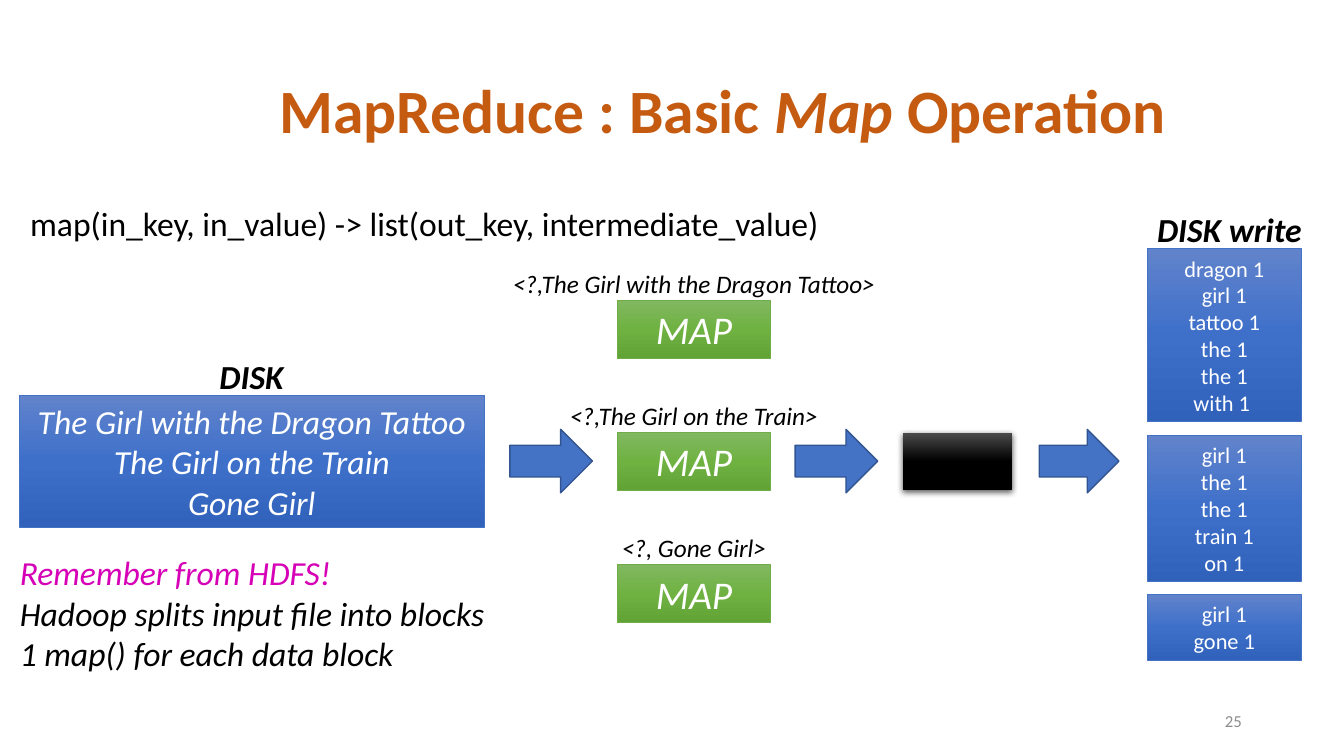
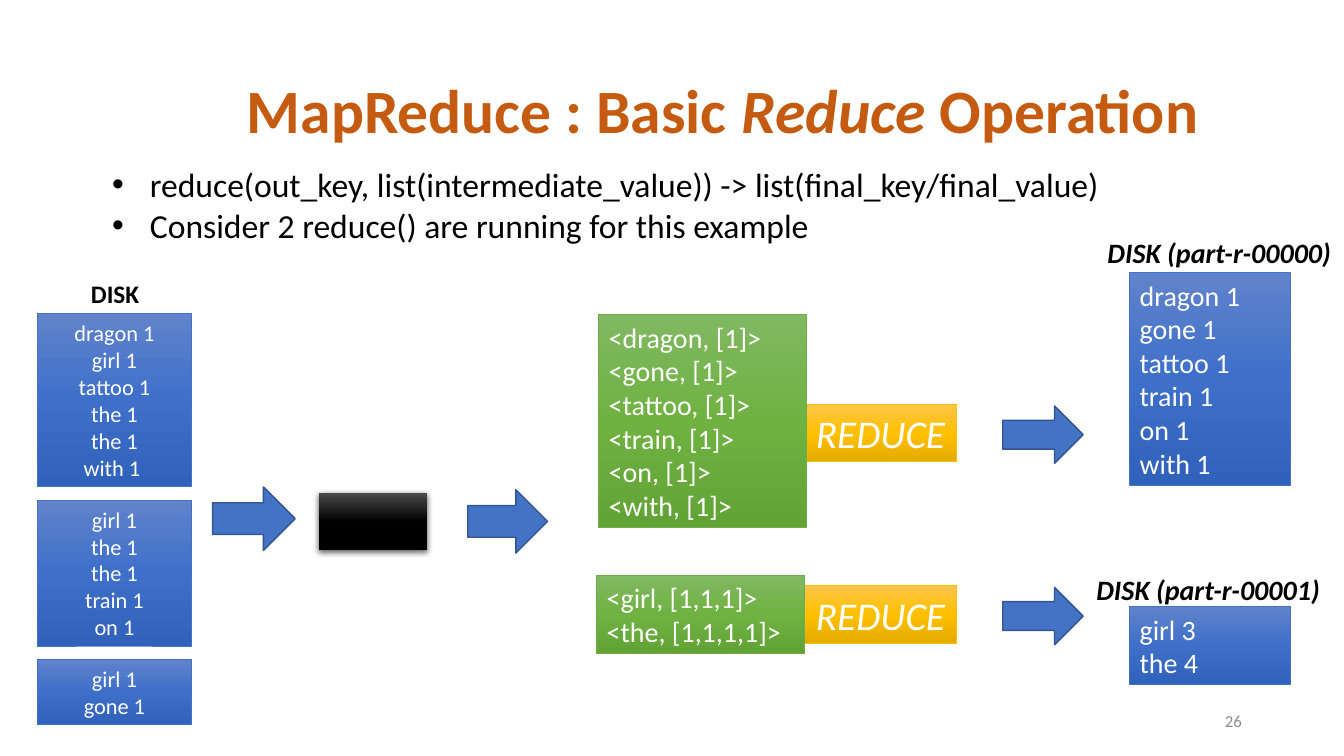
"""Build two slides on the basic map and reduce operations."""
from copy import deepcopy
from dataclasses import dataclass

from lxml import etree
from pptx import Presentation
from pptx.dml.color import RGBColor
from pptx.enum.shapes import MSO_SHAPE
from pptx.enum.text import MSO_ANCHOR, MSO_AUTO_SIZE, PP_ALIGN
from pptx.oxml.ns import qn
from pptx.util import Cm, Pt

RECT, ARROW = MSO_SHAPE.RECTANGLE, MSO_SHAPE.RIGHT_ARROW
LEFT, MID, RIGHT = PP_ALIGN.LEFT, PP_ALIGN.CENTER, PP_ALIGN.RIGHT
CENTRE, TOP = MSO_ANCHOR.MIDDLE, MSO_ANCHOR.TOP
FIT, FIXED = MSO_AUTO_SIZE.SHAPE_TO_FIT_TEXT, MSO_AUTO_SIZE.NONE
TITLE_ONLY, CONTENT = 5, 1


@dataclass(frozen=True)
class Paint:
    stops: tuple[str, str, str]
    line: str | None = None


@dataclass(frozen=True)
class Style:
    size: int
    color: str = "000000"
    bold: bool = False
    slant: bool = False
    align: PP_ALIGN = LEFT


@dataclass(frozen=True)
class Theme:
    font: str = "Calibri"
    arrow: str = "4472C4"
    edge: str = "325491"
    pink: str = "D600B7"
    blue: Paint = Paint(("6183CB", "3E70CA", "3062BB"), "4472C4")
    green: Paint = Paint(("81B861", "6FB242", "62A336"), "70AD47")
    gold: Paint = Paint(("FFC64B", "FFC000", "E3AB00"), "FFC000")
    black: Paint = Paint(("4B4B4B", "000000", "000000"))
    title: Style = Style(44, "C55A11", bold=True, align=MID)
    body: Style = Style(24)
    note: Style = Style(24, slant=True)
    head: Style = Style(24, bold=True, slant=True)
    result: Style = Style(20, bold=True, slant=True)
    disk: Style = Style(18, bold=True, align=MID)
    pair: Style = Style(18, slant=True, align=MID)
    book: Style = Style(24, "FFFFFF", slant=True, align=MID)
    step: Style = Style(28, "FFFFFF", slant=True, align=MID)
    word: Style = Style(16, "FFFFFF", align=MID)
    group: Style = Style(20, "FFFFFF")
    page: Style = Style(12, "8C8C8C", align=RIGHT)


@dataclass(frozen=True)
class Box:
    left: float
    top: float
    wide: float
    high: float

    def cm(self) -> tuple[Cm, Cm, Cm, Cm]:
        """Return the four lengths."""
        return Cm(self.left), Cm(self.top), Cm(self.wide), Cm(self.high)


THEME = Theme()
WORDS = (
    ("dragon 1", "girl 1", "tattoo 1", "the 1", "the 1", "with 1 "),
    ("girl 1", "the 1", "the 1", "train 1", "on 1"),
    ("girl 1", "gone 1"),
)
PAIRS = (
    ("<?,The Girl with the Dragon Tattoo>", 9.73),
    ("<?,The Girl on the Train>", 6.83),
    ("<?, Gone Girl>", 4.19),
)


def dress(para, style: Style) -> None:
    """Apply a text style to a paragraph."""
    para.alignment = style.align
    para.space_before = Pt(0)
    font = para.font
    font.name, font.size = THEME.font, Pt(style.size)
    font.bold, font.italic = style.bold, style.slant
    font.color.rgb = RGBColor.from_string(style.color)


def write(frame, lines: tuple[str, ...], style: Style) -> None:
    """Fill a text frame with one paragraph a line."""
    frame.text = "\n".join(lines)
    for para in frame.paragraphs:
        dress(para, style)


def place(shape, box: Box) -> None:
    """Move and size a shape."""
    shape.left, shape.top, shape.width, shape.height = box.cm()


def label(slide, box: Box, lines: tuple[str, ...], style: Style):
    """Add a text box that hugs its text."""
    frame = slide.shapes.add_textbox(*box.cm()).text_frame
    frame.word_wrap = False
    frame.auto_size = FIT
    write(frame, lines, style)
    return frame


def block(slide, box: Box, paint: Paint, lines: tuple[str, ...] = (),
          style: Style = THEME.word):
    """Add a rectangle with a vertical gradient and text."""
    shape = slide.shapes.add_shape(RECT, *box.cm())
    shape.shadow.inherit = False
    fill = shape.fill
    fill.gradient()
    fill.gradient_angle = 270
    stops = next(shape.element.iter(qn("a:gsLst")))
    stops.append(deepcopy(stops[-1]))
    for stop, at, color in zip(fill.gradient_stops, (0, 0.5, 1), paint.stops):
        stop.position = at
        stop.color.rgb = RGBColor.from_string(color)
    if paint.line:
        shape.line.color.rgb = RGBColor.from_string(paint.line)
        shape.line.width = Pt(0.5)
    else:
        shape.line.fill.background()
    if lines:
        write(shape.text_frame, lines, style)
    return shape


def arrow(slide, box: Box) -> None:
    """Add a right arrow."""
    shape = slide.shapes.add_shape(ARROW, *box.cm())
    shape.shadow.inherit = False
    shape.fill.solid()
    shape.fill.fore_color.rgb = RGBColor.from_string(THEME.arrow)
    shape.line.color.rgb = RGBColor.from_string(THEME.edge)
    shape.line.width = Pt(1)


def shuffle(slide, left: float, top: float) -> None:
    """Add the black box with its soft shadow."""
    shape = block(slide, Box(left, top, 2.74, 1.45), THEME.black)
    effect = next(shape.element.iter(qn("a:effectLst")))
    shade = etree.SubElement(
        effect, qn("a:outerShdw"), blurRad=str(Pt(4.5)), dist=str(Pt(1.5)),
        dir="5400000", algn="ctr", rotWithShape="0")
    color = etree.SubElement(shade, qn("a:srgbClr"), val="000000")
    etree.SubElement(color, qn("a:alpha"), val="63000")


def stack(slide, left: float, top: float) -> None:
    """Pile up the mapped word lists."""
    for words in WORDS:
        high = 0.68 * len(words) + 0.28
        block(slide, Box(left, top, 3.89, high), THEME.blue, words)
        top += high + 0.34


def start(deck, layout: int, verb: str, page: int):
    """Add a slide with its title and page number."""
    slide = deck.slides.add_slide(deck.slide_layouts[layout])
    title = slide.shapes.title
    place(title, Box(2.34, 1.02, 29.21, 3.68))
    frame = title.text_frame
    frame.auto_size, frame.vertical_anchor = FIXED, CENTRE
    frame.margin_left = Cm(2.79)
    para = frame.paragraphs[0]
    for text in ("MapReduce : Basic ", verb, " Operation"):
        run = para.add_run()
        run.text = text
        if text == verb:
            run.font.italic = True
    dress(para, THEME.title)
    para.line_spacing = 0.9
    foot = slide.shapes.add_textbox(*Box(23.93, 17.65, 7.62, 1.02).cm())
    foot.text_frame.word_wrap = True
    foot.text_frame.vertical_anchor = CENTRE
    write(foot.text_frame, (str(page),), THEME.page)
    return slide


def map_slide(deck) -> None:
    """Draw the map operation."""
    slide = start(deck, TITLE_ONLY, "Map", 25)
    label(slide, Box(0.51, 5, 20.6, 1.27),
          ("map(in_key, in_value) -> list(out_key, intermediate_value)",),
          THEME.body)
    block(slide, Box(0.48, 9.96, 11.73, 3.33), THEME.blue,
          ("The Girl with the Dragon Tattoo", "The Girl on the Train",
           "Gone Girl"), THEME.book)
    label(slide, Box(5.28, 8.84, 2.16, 1.27), ("DISK",), THEME.head)
    for row, (pair, wide) in enumerate(PAIRS):
        top = 7.57 + 3.33 * row
        block(slide, Box(15.57, top, 3.84, 1.45), THEME.green, ("MAP",),
              THEME.step)
        label(slide, Box(17.49 - wide / 2, top - 0.94, wide, 1.02), (pair,),
              THEME.pair)
    for left, wide in ((12.85, 2.08), (20.04, 2.08), (26.19, 2.01)):
        arrow(slide, Box(left, 10.82, wide, 1.6))
    shuffle(slide, 22.76, 10.9)
    label(slide, Box(28.91, 5.13, 4.19, 1.27), ("DISK write",), THEME.head)
    stack(slide, 28.91, 6.27)
    frame = label(slide, Box(0.25, 13.79, 12.34, 3.33),
                  ("Remember from HDFS!",
                   "Hadoop splits input file into blocks",
                   "1 map() for each data block"), THEME.note)
    frame.paragraphs[0].font.color.rgb = RGBColor.from_string(THEME.pink)


def reduce_slide(deck) -> None:
    """Draw the reduce operation."""
    slide = start(deck, CONTENT, "Reduce", 26)
    body = slide.placeholders[1]
    place(body, Box(2.57, 4.01, 25.65, 2.31))
    frame = body.text_frame
    frame.auto_size, frame.vertical_anchor = FIXED, TOP
    write(frame,
          ("reduce(out_key, list(intermediate_value)) -> "
           "list(final_key/final_value)",
           "Consider 2 reduce() are running for this example"), THEME.body)
    label(slide, Box(1.63, 6.88, 2.54, 1.02), ("DISK",), THEME.disk)
    stack(slide, 0.94, 7.9)
    arrow(slide, Box(5.36, 12.27, 2.08, 1.6))
    shuffle(slide, 8.03, 12.42)
    arrow(slide, Box(11.79, 12.34, 2.01, 1.6))
    for top in (10.19, 14.76):
        block(slide, Box(20.27, top, 3.84, 1.45), THEME.gold, ("REDUCE",),
              THEME.step)
        arrow(slide, Box(25.27, top + 0.04, 2.03, 1.45))
    block(slide, Box(15.09, 7.92, 5.23, 5.38), THEME.green,
          ("<dragon, [1]>", "<gone, [1]>", "<tattoo, [1]>", "<train, [1]>",
           "<on, [1]>", "<with, [1]>"), THEME.group)
    block(slide, Box(15.04, 14.5, 5.23, 1.96), THEME.green,
          ("<girl, [1,1,1]>", "<the, [1,1,1,1]>"), THEME.group)
    block(slide, Box(28.47, 6.86, 4.04, 5.38), THEME.blue,
          ("dragon 1", "gone 1", "tattoo 1", "train 1", "on 1", "with 1"),
          THEME.group)
    block(slide, Box(28.47, 15.29, 4.04, 1.96), THEME.blue,
          ("girl 3", "the 4"), THEME.group)
    for left, top, name in ((27.66, 5.82, "DISK (part-r-00000)"),
                            (27.38, 14.3, "DISK (part-r-00001)")):
        label(slide, Box(left, top, 6.22, 1.12), (name,), THEME.result)


def main() -> None:
    """Build and save the deck."""
    deck = Presentation()
    deck.slide_width, deck.slide_height = Cm(33.87), Cm(19.05)
    map_slide(deck)
    reduce_slide(deck)
    deck.save("out.pptx")


if __name__ == "__main__":
    main()
